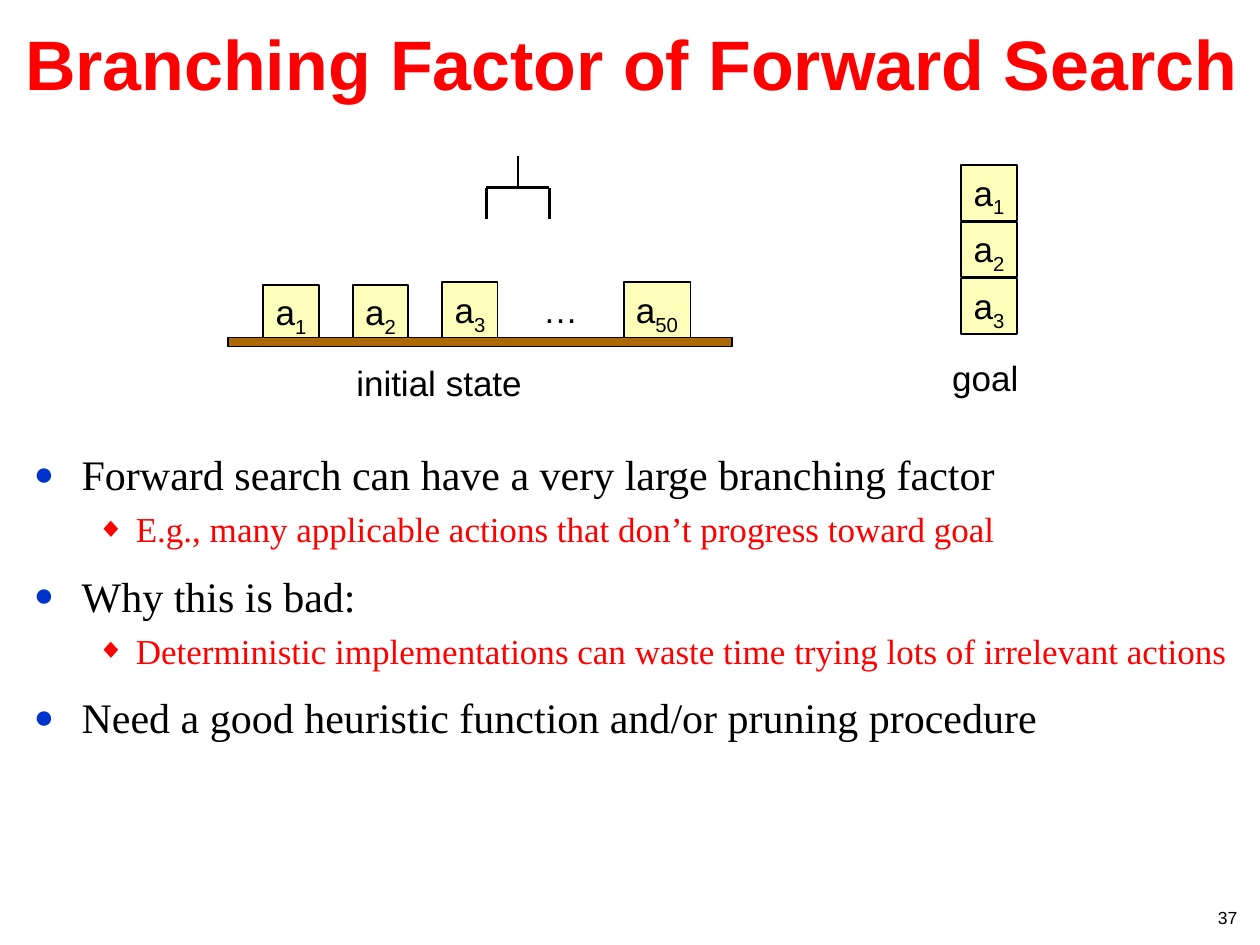
from typing import NamedTuple

from lxml import etree
from pptx import Presentation
from pptx.dml.color import RGBColor
from pptx.enum import shapes as kinds, text as txt
from pptx.oxml import ns
from pptx.util import Inches, Pt

COLORS = {
    "black": "000000",
    "red": "FF0000",
    "bullet_blue": "0033CC",
    "block": "FCFEB9",
    "table": "AD6900",
}
SANS, SERIF = "Arial", "Times New Roman"


class Block(NamedTuple):
    number: str
    left: float
    top: float
    width: float = 0.44


class Label(NamedTuple):
    words: str
    left: float
    top: float
    width: float
    height: float
    size: float = 20
    align: txt.PP_ALIGN = txt.PP_ALIGN.CENTER


class Level(NamedTuple):
    size: float
    color: str
    bullet: str
    bullet_color: str
    margin: float
    hanging: float
    before: float
    line_spacing: float


class Point(NamedTuple):
    level: int
    words: str


STACK_LEFT, STACK_TOP, STACK_STEP = 7.63, 1.31, 0.45
GOAL_BLOCKS = [Block(str(n), STACK_LEFT, STACK_TOP + (n - 1) * STACK_STEP) for n in (3, 1, 2)]
INITIAL_BLOCKS = [
    Block("1", 2.09, 2.26),
    Block("2", 2.8, 2.26),
    Block("3", 3.51, 2.24),
    Block("50", 4.95, 2.24, 0.53),
]
LABELS = [
    Label("…", 4.21, 2.24, 0.48, 0.43),
    Label("initial state", 2.73, 2.82, 1.51, 0.44),
    Label("goal", 7.46, 2.78, 0.72, 0.44),
    Label("37", 9.4, 7.15, 0.42, 0.26, 10, txt.PP_ALIGN.RIGHT),
]
LEVELS = [
    Level(24, "black", "●", "bullet_blue", 0.38, 0.38, 6, 1.2),
    Level(20, "red", "◆", "red", 0.81, 0.31, 5, 1.0),
]
POINTS = [
    Point(0, "Forward search can have a very large branching factor"),
    Point(1, "E.g., many applicable actions that don’t progress toward goal"),
    Point(0, "Why this is bad:"),
    Point(1, "Deterministic implementations can waste time trying lots of irrelevant actions"),
    Point(0, "Need a good heuristic function and/or pruning procedure"),
]
# Robot hand: two fingers, the palm and the arm, as x1, y1, x2, y2
HAND_LEFT, HAND_RIGHT, HAND_MIDDLE = 3.86, 4.36, 4.11
ARM_TOP, PALM, FINGERTIP = 1.24, 1.49, 1.74
HAND = [
    (HAND_LEFT, FINGERTIP, HAND_LEFT, PALM),
    (HAND_RIGHT, FINGERTIP, HAND_RIGHT, PALM),
    (HAND_LEFT, PALM, HAND_RIGHT, PALM),
    (HAND_MIDDLE, PALM, HAND_MIDDLE, ARM_TOP),
]


def rgb(name: str) -> RGBColor:
    return RGBColor.from_string(COLORS[name])


def set_font(paragraph, face: str, size: float, color: str = "black", bold: bool = False) -> None:
    font = paragraph.font
    font.name, font.size, font.bold = face, Pt(size), bold
    font.color.rgb = rgb(color)


def add_rectangle(slide, left: float, top: float, width: float, height: float, fill: str):
    rectangle = slide.shapes.add_shape(
        kinds.MSO_SHAPE.RECTANGLE, Inches(left), Inches(top), Inches(width), Inches(height))
    rectangle.shadow.inherit = False
    rectangle.fill.solid()
    rectangle.fill.fore_color.rgb = rgb(fill)
    rectangle.line.color.rgb = rgb("black")
    rectangle.line.width = Pt(1)
    return rectangle


def keep_on_one_line(frame) -> None:
    """Let the whole width of the shape serve a single line of text."""
    frame.word_wrap = False
    frame.margin_left = frame.margin_right = 0


def add_block(slide, block: Block) -> None:
    frame = add_rectangle(slide, block.left, block.top, block.width, 0.44, "block").text_frame
    keep_on_one_line(frame)
    frame.vertical_anchor = txt.MSO_ANCHOR.TOP
    name = frame.paragraphs[0]
    name.alignment = txt.PP_ALIGN.CENTER
    set_font(name, SANS, 20)
    for words, baseline in (("a", 0), (block.number, -25000)):
        run = name.add_run()
        run.text = words
        run.font.color.rgb = rgb("black")
        if baseline:
            run._r.get_or_add_rPr().set("baseline", str(baseline))


def add_text_box(slide, left: float, top: float, width: float, height: float):
    box = slide.shapes.add_textbox(Inches(left), Inches(top), Inches(width), Inches(height))
    box.text_frame.word_wrap = True
    return box.text_frame


def add_label(slide, label: Label) -> None:
    frame = add_text_box(slide, label.left, label.top, label.width, label.height)
    keep_on_one_line(frame)
    paragraph = frame.paragraphs[0]
    paragraph.text = label.words
    paragraph.alignment = label.align
    set_font(paragraph, SANS, label.size)


def add_title(slide, words: str) -> None:
    frame = add_text_box(slide, -0.15, -0.01, 10.32, 0.89)
    frame.vertical_anchor = txt.MSO_ANCHOR.BOTTOM
    title = frame.paragraphs[0]
    title.text = words
    title.alignment = txt.PP_ALIGN.CENTER
    set_font(title, SANS, 40, "red", bold=True)


def add_bullet(paragraph, level: Level) -> None:
    properties = paragraph._p.get_or_add_pPr()
    properties.set("marL", str(Inches(level.margin)))
    properties.set("indent", str(-Inches(level.hanging)))
    color = etree.SubElement(properties, ns.qn("a:buClr"))
    etree.SubElement(color, ns.qn("a:srgbClr"), val=COLORS[level.bullet_color])
    etree.SubElement(properties, ns.qn("a:buSzPct"), val="80000")
    etree.SubElement(properties, ns.qn("a:buFont"), typeface=SERIF)
    etree.SubElement(properties, ns.qn("a:buChar"), char=level.bullet)


def add_points(slide, points: list[Point]) -> None:
    frame = add_text_box(slide, 0.17, 3.43, 9.83, 3.72)
    for index, point in enumerate(points):
        level = LEVELS[point.level]
        paragraph = frame.add_paragraph() if index else frame.paragraphs[0]
        paragraph.text = point.words
        paragraph.level = point.level
        paragraph.line_spacing = level.line_spacing
        paragraph.space_before = Pt(level.before if index else 0)
        add_bullet(paragraph, level)
        set_font(paragraph, SERIF, level.size, level.color)


def add_line(slide, x1: float, y1: float, x2: float, y2: float) -> None:
    line = slide.shapes.add_connector(
        kinds.MSO_CONNECTOR.STRAIGHT, Inches(x1), Inches(y1), Inches(x2), Inches(y2))
    line.line.color.rgb = rgb("black")
    line.line.width = Pt(1.5)
    etree.SubElement(line._element.spPr, ns.qn("a:effectLst"))


def main() -> None:
    deck = Presentation()
    deck.slide_width, deck.slide_height = Inches(10), Inches(7.5)
    slide = deck.slides.add_slide(deck.slide_layouts[6])
    add_title(slide, "Branching Factor of Forward Search")
    add_points(slide, POINTS)
    for block in GOAL_BLOCKS + INITIAL_BLOCKS:
        add_block(slide, block)
    for segment in HAND:
        add_line(slide, *segment)
    for label in LABELS:
        add_label(slide, label)
    add_rectangle(slide, 1.81, 2.68, 4, 0.07, "table")
    deck.save("out.pptx")


if __name__ == "__main__":
    main()
